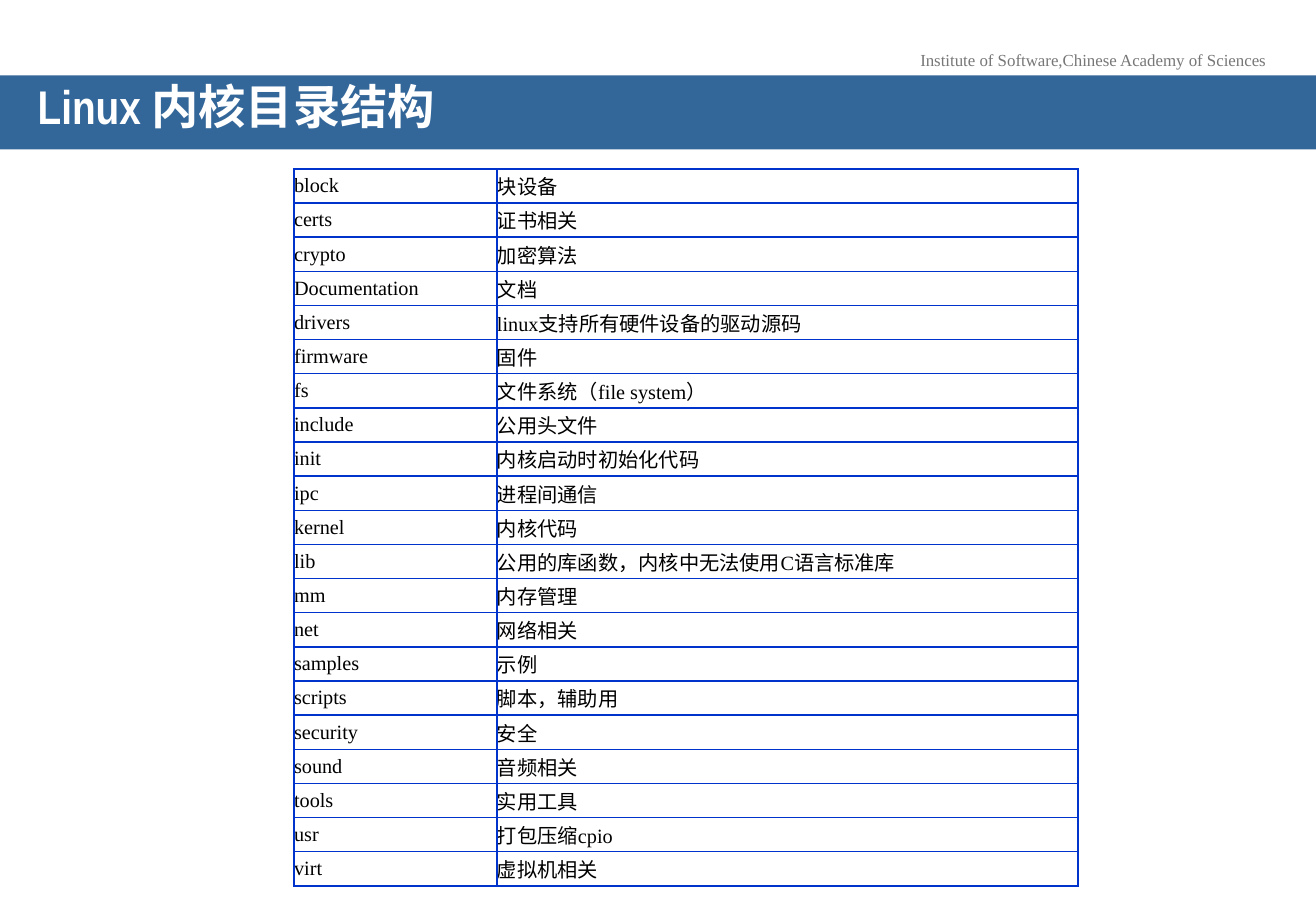
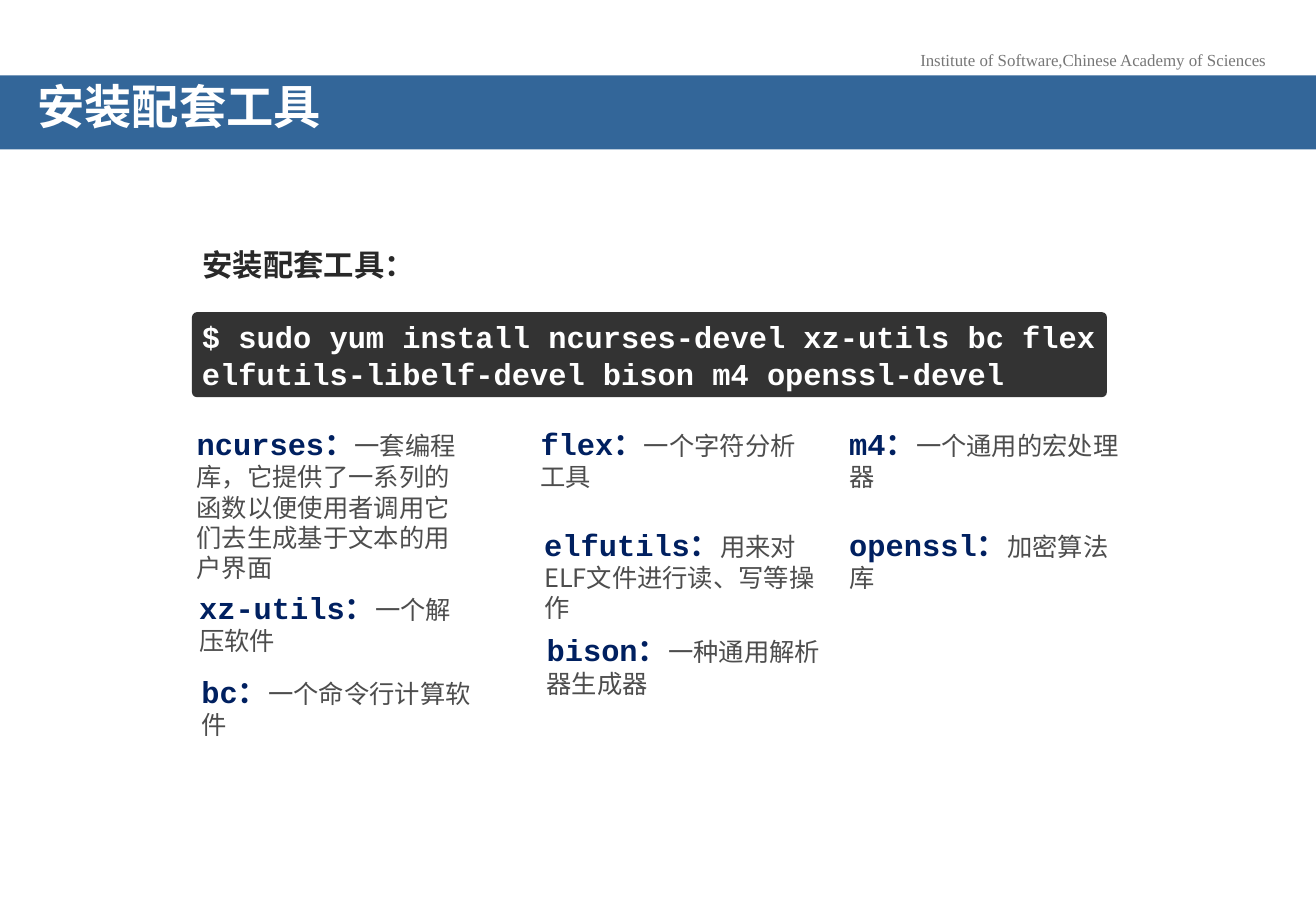
from dataclasses import dataclass
from typing import Any

import pptx
import pptx.dml.color
import pptx.enum.shapes
import pptx.enum.text
import pptx.oxml
import pptx.oxml.ns
import pptx.util

Inches = pptx.util.Inches
Pt = pptx.util.Pt
ALIGN = pptx.enum.text.PP_ALIGN
ANCHOR = pptx.enum.text.MSO_ANCHOR
FIT = pptx.enum.text.MSO_AUTO_SIZE

WIDTH, HEIGHT = 10.83, 7.5
CJK = "Noto Sans CJK SC"
BLUE, WHITE, DARK, RULE = "336699", "FFFFFF", "333333", "0033CC"


@dataclass(frozen=True)
class Style:
    size: float
    name: str
    hue: str
    bold: bool = False


@dataclass(frozen=True)
class Tool:
    left: float
    top: float
    height: float
    name: str
    note: str


HEADER = Style(10, "Times New Roman", "777777")
TITLE = Style(28, "Arial Narrow", WHITE, True)
CELL = Style(12, "Times New Roman", "000000")
LABEL = Style(18, CJK, "292929", True)
CODE = Style(18, "Courier New", WHITE, True)
NAME = Style(18, "Courier New", "002060", True)
NOTE = Style(15, CJK, "4D4D4D")

FOLDERS = [
    ("block", "块设备"),
    ("certs", "证书相关"),
    ("crypto", "加密算法"),
    ("Documentation", "文档"),
    ("drivers", "linux支持所有硬件设备的驱动源码"),
    ("firmware", "固件"),
    ("fs", "文件系统（file system）"),
    ("include", "公用头文件"),
    ("init", "内核启动时初始化代码"),
    ("ipc", "进程间通信"),
    ("kernel", "内核代码"),
    ("lib", "公用的库函数，内核中无法使用C语言标准库"),
    ("mm", "内存管理"),
    ("net", "网络相关"),
    ("samples", "示例"),
    ("scripts", "脚本，辅助用"),
    ("security", "安全"),
    ("sound", "音频相关"),
    ("tools", "实用工具"),
    ("usr", "打包压缩cpio"),
    ("virt", "虚拟机相关"),
]

TOOLS = [
    Tool(1.52, 3.45, 1.72, "ncurses：",
         "一套编程库，它提供了一系列的函数以便使用者调用它们去生成基于文本的用户界面"),
    Tool(1.54, 4.8, 0.96, "xz-utils：", "一个解压软件"),
    Tool(1.56, 5.49, 0.96, "bc：", "一个命令行计算软件"),
    Tool(4.35, 3.45, 0.96, "flex：", "一个字符分析工具"),
    Tool(4.38, 4.28, 1.21, "elfutils：", "用来对ELF文件进行读、写等操作"),
    Tool(4.4, 5.15, 0.96, "bison：", "一种通用解析器生成器"),
    Tool(6.89, 3.45, 0.66, "m4：", "一个通用的宏处理器"),
    Tool(6.89, 4.28, 0.4, "openssl：", "加密算法库"),
]

COMMAND = ("$ sudo yum install ncurses-devel xz-utils bc flex "
           "elfutils-libelf-devel bison m4 openssl-devel")


def color(code: str) -> pptx.dml.color.RGBColor:
    return pptx.dml.color.RGBColor.from_string(code)


def assign(item: Any, values: dict[str, Any]) -> None:
    for key, value in values.items():
        setattr(item, key, value)


def paint(shape: Any, code: str) -> None:
    shape.fill.solid()
    shape.fill.fore_color.rgb = color(code)
    shape.line.fill.background()


def margins(across: float, down: float) -> dict[str, Any]:
    return {
        "margin_left": Inches(across), "margin_right": Inches(across),
        "margin_top": Inches(down), "margin_bottom": Inches(down),
    }


def write(line: Any, text: str, style: Style) -> None:
    run = line.add_run()
    run.text = text
    assign(run.font, {"size": Pt(style.size), "name": style.name, "bold": style.bold})
    run.font.color.rgb = color(style.hue)
    east = pptx.oxml.parse_xml(f'<a:ea {pptx.oxml.ns.nsdecls("a")} typeface="{CJK}"/>')
    run.font._element.append(east)


def add_box(slide: Any, left: float, top: float, width: float, height: float,
            parts: list[tuple[str, Style]], wrap: bool = True) -> Any:
    box = slide.shapes.add_textbox(Inches(left), Inches(top), Inches(width), Inches(height))
    frame = box.text_frame
    assign(frame, {"word_wrap": wrap, "auto_size": FIT.SHAPE_TO_FIT_TEXT})
    line = frame.paragraphs[0]
    line.alignment = ALIGN.LEFT if wrap else ALIGN.CENTER
    for text, style in parts:
        write(line, text, style)
    return box


def add_page(deck: Any, title: str) -> Any:
    slide = deck.slides.add_slide(deck.slide_layouts[5])
    band = slide.shapes.title
    assign(band, {"left": 0, "top": Inches(0.62),
                  "width": Inches(WIDTH), "height": Inches(0.61)})
    paint(band, BLUE)
    frame = band.text_frame
    assign(frame, {"word_wrap": True, "auto_size": FIT.NONE,
                   "vertical_anchor": ANCHOR.MIDDLE, **margins(0.31, 0.05)})
    line = frame.paragraphs[0]
    assign(line, {"alignment": ALIGN.LEFT, "line_spacing": 0.7})
    write(line, title, TITLE)
    return slide


def add_header(deck: Any, slide: Any) -> None:
    text = "Institute of Software,Chinese Academy of Sciences"
    box = add_box(slide, 7.46, 0.36, 3.07, 0.27, [(text, HEADER)], wrap=False)
    deck.slide_layouts[5].element.cSld.spTree.append(box.element)


def add_rules(cell: Any) -> None:
    props = cell._tc.get_or_add_tcPr()
    for place, side in enumerate(("lnL", "lnR", "lnT", "lnB")):
        props.insert(place, pptx.oxml.parse_xml(
            f'<a:{side} {pptx.oxml.ns.nsdecls("a")} w="12700">'
            f'<a:solidFill><a:srgbClr val="{RULE}"/></a:solidFill></a:{side}>'))


def add_grid(slide: Any) -> None:
    widths, height = (1.67, 4.78), 5.91
    table = slide.shapes.add_table(
        len(FOLDERS), len(widths), Inches(2.42), Inches(1.39),
        Inches(sum(widths)), Inches(height)).table
    assign(table, {"first_row": False, "horz_banding": False})
    for column, width in zip(table.columns, widths):
        column.width = Inches(width)
    for row, texts in zip(table.rows, FOLDERS):
        row.height = Inches(height / len(FOLDERS))
        for cell, text in zip(row.cells, texts):
            assign(cell, {"vertical_anchor": ANCHOR.MIDDLE, **margins(0, 0)})
            cell.fill.background()
            write(cell.text_frame.paragraphs[0], text, CELL)
            add_rules(cell)


def add_code(slide: Any) -> None:
    panel = slide.shapes.add_shape(
        pptx.enum.shapes.MSO_SHAPE.ROUNDED_RECTANGLE,
        Inches(1.58), Inches(2.57), Inches(7.53), Inches(0.7))
    panel.adjustments[0] = 0.06
    panel.shadow.inherit = False
    paint(panel, DARK)
    frame = panel.text_frame
    assign(frame, {"word_wrap": True, "auto_size": FIT.SHAPE_TO_FIT_TEXT,
                   "vertical_anchor": ANCHOR.TOP, **margins(0.07, 0.04)})
    line = frame.paragraphs[0]
    line.alignment = ALIGN.LEFT
    write(line, COMMAND, CODE)


def main() -> None:
    deck = pptx.Presentation()
    assign(deck, {"slide_width": Inches(WIDTH), "slide_height": Inches(HEIGHT)})

    tree = add_page(deck, "Linux 内核目录结构")
    add_header(deck, tree)
    add_grid(tree)

    setup = add_page(deck, "安装配套工具")
    add_code(setup)
    add_box(setup, 1.55, 1.98, 1.98, 0.4, [("安装配套工具：", LABEL)], wrap=False)
    for tool in TOOLS:
        add_box(setup, tool.left, tool.top, 2.46, tool.height,
                [(tool.name, NAME), (tool.note, NOTE)])

    deck.save("out.pptx")


if __name__ == "__main__":
    main()
